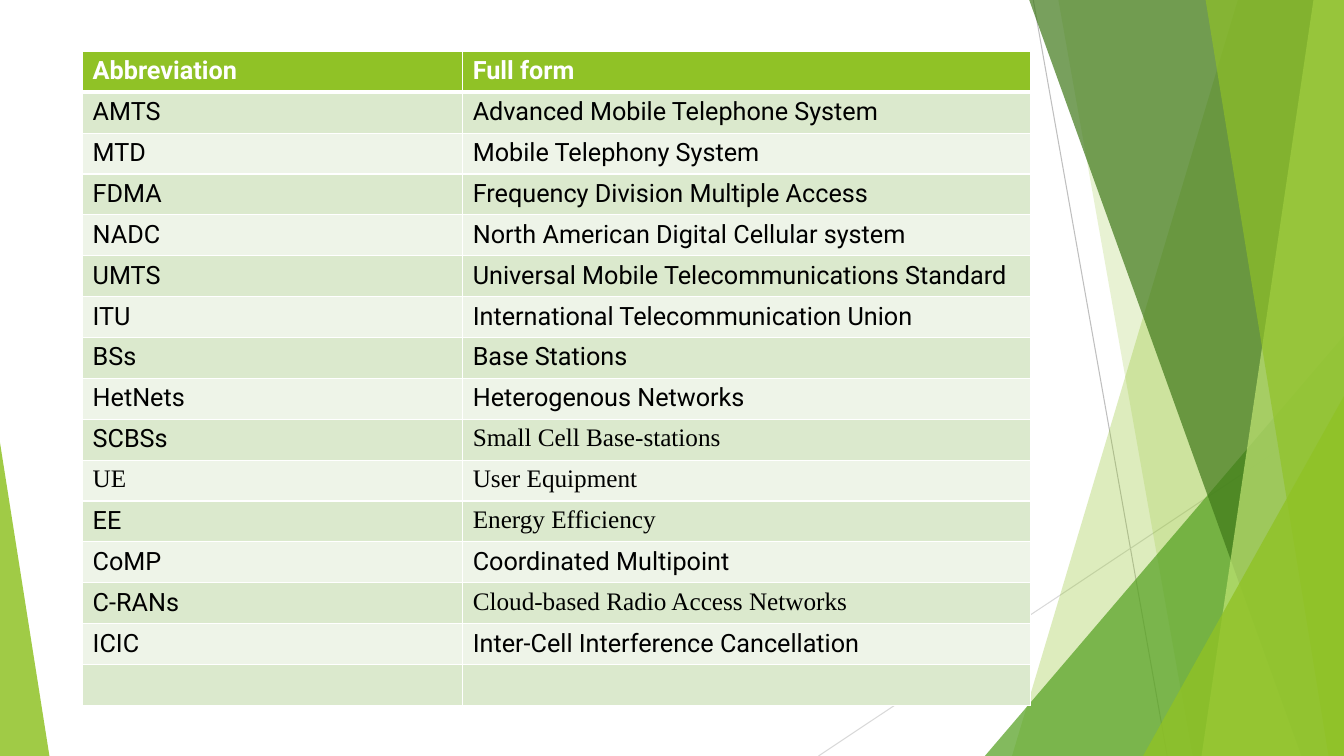
"""Build a slide with a table of telecom abbreviations beside green facets."""
from dataclasses import dataclass

from lxml.etree import SubElement
from pptx import Presentation
from pptx.dml.color import RGBColor
from pptx.enum.shapes import MSO_CONNECTOR as Link, MSO_SHAPE as Preset
from pptx.oxml import parse_xml
from pptx.oxml.ns import nsdecls, qn
from pptx.util import Emu, Inches, Pt

WIDE, HIGH = Inches(13.33), Inches(7.5)
WHITE = RGBColor(0xFF, 0xFF, 0xFF)
BLACK = RGBColor(0x00, 0x00, 0x00)
GREY = RGBColor(0xBF, 0xBF, 0xBF)
PALE = RGBColor(0xD9, 0xD9, 0xD9)
LIME = RGBColor(0x90, 0xC2, 0x26)
GREEN = RGBColor(0x54, 0xA0, 0x21)
DARK = RGBColor(0x3F, 0x78, 0x19)
LIGHT = RGBColor(0xC0, 0xE4, 0x74)
STRIPES = (RGBColor(0xEE, 0xF4, 0xE8), RGBColor(0xDB, 0xE9, 0xCD))
SANS, SERIF = "Roboto", "Times New Roman"


@dataclass
class Ray:
    x1: float
    y1: float
    x2: float
    y2: float
    color: RGBColor


@dataclass
class Band:
    top: float
    foot: float
    color: RGBColor
    alpha: int


@dataclass
class Wedge:
    left: float
    top: float
    width: float
    tip: float
    color: RGBColor
    alpha: int


@dataclass
class Term:
    short: str
    full: str
    fonts: tuple[str, str] = (SANS, SANS)


RAYS = [Ray(76.88, 0, 86.85, 100, GREY), Ray(100, 53.73, 60.9, 100, PALE)]
FACETS = [
    Band(92.1, 75.3, LIME, 30),
    Band(78.75, 88.73, LIME, 20),
    Wedge(73.28, 44.4, 26.72, 1, GREEN, 72),
    Band(76.58, 96.83, DARK, 70),
    Band(97.73, 89.4, LIGHT, 70),
    Band(89.7, 98.85, LIME, 65),
    Wedge(85.05, 52.4, 14.95, 1, LIME, 80),
    Wedge(0, 58.53, 3.68, 0, LIME, 85),
]
TERMS = [
    Term("Abbreviation", "Full form"),
    Term("AMTS", "Advanced Mobile Telephone System"),
    Term("MTD", "Mobile Telephony System"),
    Term("FDMA", "Frequency Division Multiple Access"),
    Term("NADC", "North American Digital Cellular system"),
    Term("UMTS", "Universal Mobile Telecommunications Standard"),
    Term("ITU", "International Telecommunication Union"),
    Term("BSs", "Base Stations"),
    Term("HetNets", "Heterogenous Networks"),
    Term("SCBSs", "Small Cell Base-stations", (SANS, SERIF)),
    Term("UE", "User Equipment", (SERIF, SERIF)),
    Term("EE", "Energy Efficiency", (SANS, SERIF)),
    Term("CoMP", "Coordinated Multipoint"),
    Term("C-RANs", "Cloud-based Radio Access Networks", (SANS, SERIF)),
    Term("ICIC", "Inter-Cell Interference Cancellation"),
    Term("", ""),
]
COLS, ROW = (28.28, 42.22), 5.41


def across(share: float) -> Emu:
    """Turn a percentage of the slide's width into a length."""
    return Emu(round(WIDE * share / 100))


def down(share: float) -> Emu:
    """Turn a percentage of the slide's height into a length."""
    return Emu(round(HIGH * share / 100))


def draw_ray(shapes, ray: Ray) -> None:
    """Draw one thin line."""
    line = shapes.add_connector(Link.STRAIGHT, across(ray.x1), down(ray.y1),
                                across(ray.x2), down(ray.y2))
    line.line.color.rgb = ray.color
    line.line.width = Pt(0.75)
    SubElement(line._element.spPr, qn("a:effectLst"))


def draw_facet(shapes, facet: Band | Wedge) -> None:
    """Draw one see-through band or wedge."""
    if isinstance(facet, Band):
        pen = shapes.build_freeform(across(facet.top), 0)
        pen.add_line_segments([(WIDE, 0), (WIDE, HIGH), (across(facet.foot), HIGH)])
        shape = pen.convert_to_shape()
    else:
        shape = shapes.add_shape(Preset.ISOSCELES_TRIANGLE, across(facet.left), down(facet.top),
                                 across(facet.width), down(100 - facet.top))
        shape.adjustments[0] = facet.tip
    shape.shadow.inherit = False
    shape.line.fill.background()
    shape.fill.solid()
    shape.fill.fore_color.rgb = facet.color
    color = shape.fill._xPr.find(qn("a:solidFill"))[0]
    SubElement(color, qn("a:alpha"), val=str(facet.alpha * 1000))


def edge(cell, row: int) -> None:
    """Give a cell white borders, thick below the header."""
    thick = {(0, "B"), (1, "T")}
    for place, side in enumerate("LRTB"):
        width = Pt(3 if (row, side) in thick else 1)
        cell._tc.get_or_add_tcPr().insert(place, parse_xml(
            f'<a:ln{side} {nsdecls("a")} w="{width}"><a:solidFill>'
            f'<a:srgbClr val="{WHITE}"/></a:solidFill></a:ln{side}>'))


def draw_table(shapes, terms: list[Term]) -> None:
    """Draw the table of abbreviations."""
    table = shapes.add_table(len(terms), len(COLS), across(6.15), down(6.8),
                             across(sum(COLS)), down(ROW * len(terms))).table
    for col, share in zip(table.columns, COLS):
        col.width = across(share)
    for row, term in enumerate(terms):
        table.rows[row].height = down(ROW)
        head = row == 0
        for col, text in enumerate((term.short, term.full)):
            cell = table.cell(row, col)
            cell.fill.solid()
            cell.fill.fore_color.rgb = LIME if head else STRIPES[row % 2]
            edge(cell, row)
            cell.text_frame.text = text
            for run in cell.text_frame.paragraphs[0].runs:
                run.font.name = term.fonts[col]
                run.font.size = Pt(18)
                run.font.bold = head
                run.font.color.rgb = WHITE if head else BLACK


def main() -> None:
    """Build and save the slide."""
    deck = Presentation()
    deck.slide_width, deck.slide_height = WIDE, HIGH
    shapes = deck.slides.add_slide(deck.slide_layouts[6]).shapes
    for ray in RAYS:
        draw_ray(shapes, ray)
    for facet in FACETS:
        draw_facet(shapes, facet)
    draw_table(shapes, TERMS)
    deck.save("out.pptx")


if __name__ == "__main__":
    main()
